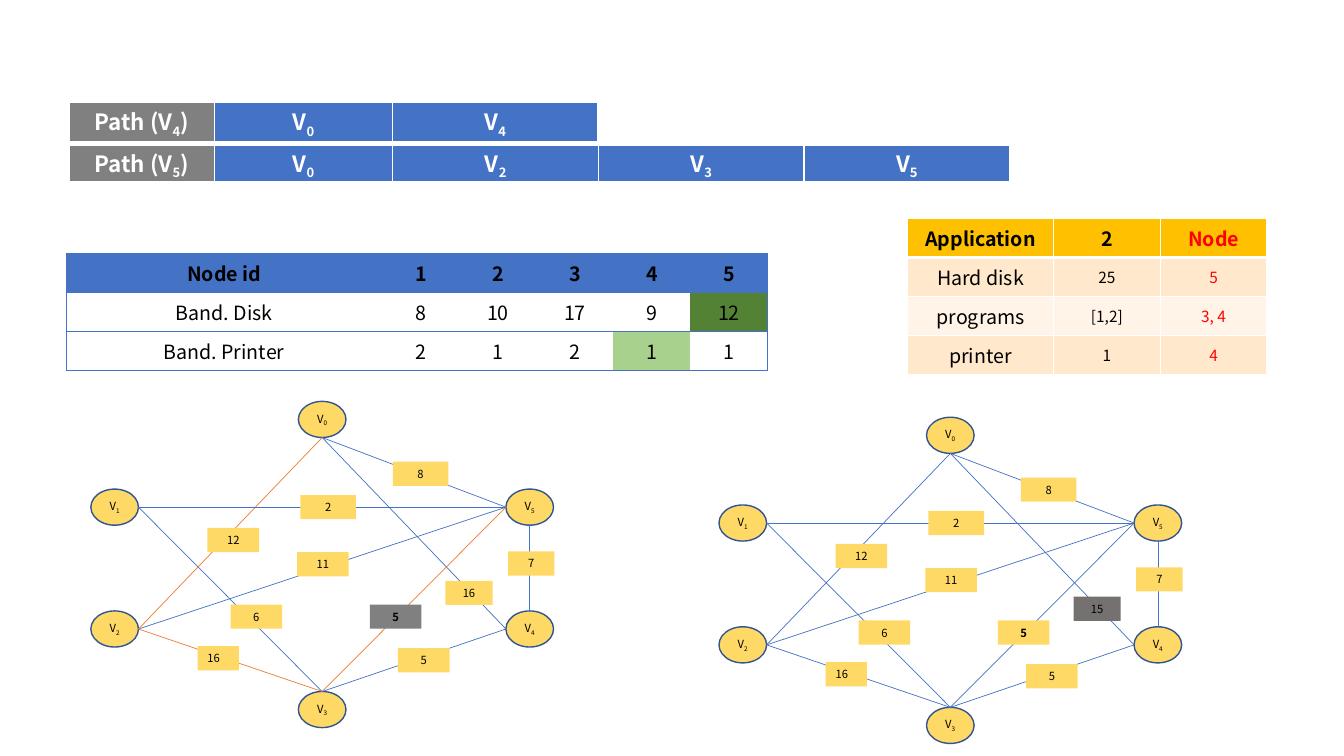
from dataclasses import dataclass

from lxml import etree
from pptx import Presentation
from pptx.dml.color import RGBColor
from pptx.enum.shapes import MSO_CONNECTOR, MSO_SHAPE
from pptx.enum.text import MSO_ANCHOR, PP_ALIGN
from pptx.oxml.ns import qn
from pptx.util import Cm, Pt

LEFT, CENTER = PP_ALIGN.LEFT, PP_ALIGN.CENTER
TOP, MIDDLE = MSO_ANCHOR.TOP, MSO_ANCHOR.MIDDLE
ELLIPSE, RECTANGLE = MSO_SHAPE.OVAL, MSO_SHAPE.RECTANGLE
STRAIGHT = MSO_CONNECTOR.STRAIGHT
PLAIN_TABLE = "{2D5ABB26-0587-4C30-8999-92F81FD0307C}"
WIDE_INSETS, TIGHT_INSETS = (0.25, 0.13), (0.03, 0.02)


@dataclass(frozen=True)
class Theme:
    font: str = "Noto Sans CJK JP"
    black: str = "000000"
    white: str = "FFFFFF"
    red: str = "FF0000"
    blue: str = "4472C4"
    outline: str = "325491"
    orange: str = "ED7D31"
    amber: str = "FFC000"
    yellow: str = "FFD966"
    gray: str = "808080"
    dark_gray: str = "767171"
    green: str = "548235"
    light_green: str = "A9D18E"
    bands: tuple = ("FFE8CC", "FFF4E7")
    path_size: int = 16
    table_size: int = 14
    value_size: int = 11
    graph_size: int = 8


THEME = Theme()


def rgb(color):
    return RGBColor.from_string(color)


def write(frame, text, *, size, color=THEME.black, bold=False, align=CENTER):
    """Write text; the character after an underscore becomes a subscript."""
    paragraph = frame.paragraphs[0]
    paragraph.alignment = align
    first, *others = text.split("_")
    pieces = [(first, False)]
    for other in others:
        pieces += [(other[:1], True), (other[1:], False)]
    for piece, subscript in pieces:
        if piece:
            run = paragraph.add_run()
            run.text = piece
            run.font.name, run.font.size, run.font.bold = THEME.font, Pt(size), bold
            run.font.color.rgb = rgb(color)
            if subscript:
                run._r.get_or_add_rPr().set("baseline", "-25000")


class SlideBuilder:
    def __init__(self, slide, theme):
        self.slide, self.theme = slide, theme

    def table(self, left, top, widths, height, row_count):
        frame = self.slide.shapes.add_table(
            row_count, len(widths), Cm(left), Cm(top), Cm(sum(widths)), Cm(height * row_count))
        grid = frame.table
        grid.first_row = grid.horz_banding = False
        grid._tbl.tblPr.find(qn("a:tableStyleId")).text = PLAIN_TABLE
        for column, width in zip(grid.columns, widths):
            column.width = Cm(width)
        for row in grid.rows:
            row.height = Cm(height)
        return grid

    def cell(self, cell, text, *, fill, borders, insets, anchor=MIDDLE, **style):
        """Borders map a side (L, R, T, B) to its colour and width."""
        cell.margin_left = cell.margin_right = Cm(insets[0])
        cell.margin_top = cell.margin_bottom = Cm(insets[1])
        cell.vertical_anchor = anchor
        if fill:
            cell.fill.solid()
            cell.fill.fore_color.rgb = rgb(fill)
        else:
            cell.fill.background()
        properties = cell._tc.get_or_add_tcPr()
        sides = [side for side in "LRTB" if side in borders]
        for index, side in enumerate(sides):
            color, width = borders[side]
            line = etree.Element(qn(f"a:ln{side}"), w=str(Pt(width)))
            solid = etree.SubElement(line, qn("a:solidFill"))
            etree.SubElement(solid, qn("a:srgbClr"), val=color)
            properties.insert(index, line)
        write(cell.text_frame, text, **style)

    def shape(self, kind, center, size, text, *, fill, outline=None, inset=0, **style):
        (x, y), (width, height) = center, size
        shape = self.slide.shapes.add_shape(
            kind, Cm(x - width / 2), Cm(y - height / 2), Cm(width), Cm(height))
        shape.shadow.inherit = False
        shape.fill.solid()
        shape.fill.fore_color.rgb = rgb(fill)
        if outline:
            shape.line.color.rgb = rgb(outline)
            shape.line.width = Pt(1)
        else:
            shape.line.fill.background()
        frame = shape.text_frame
        frame.word_wrap = True
        frame.vertical_anchor = MIDDLE
        frame.margin_left = frame.margin_right = Cm(inset)
        frame.margin_top = frame.margin_bottom = 0
        write(frame, text, size=self.theme.graph_size, **style)

    def edge(self, start, end, color):
        line = self.slide.shapes.add_connector(STRAIGHT, *map(Cm, (*start, *end)))
        line.line.color.rgb = rgb(color)
        line.line.width = Pt(0.5)
        etree.SubElement(line._element.spPr, qn("a:effectLst"))

    def path_table(self, top, height, widths, texts):
        white = self.theme.white
        borders = {**dict.fromkeys("LRT", (white, 1)), "B": (white, 3)}
        grid = self.table(1.74, top, widths, height, 1)
        for column, text in enumerate(texts):
            self.cell(grid.cell(0, column), text, borders=borders, insets=TIGHT_INSETS,
                      fill=self.theme.blue if column else self.theme.gray,
                      size=self.theme.path_size, color=white, bold=True)

    def application_table(self, rows):
        theme = self.theme
        grid = self.table(22.87, 5.51, [3.68, 2.69, 2.69], 0.91, len(rows))
        for r, row in enumerate(rows):
            borders = dict.fromkeys("LRTB", (theme.white, 1))
            if r < 2:
                borders["T" if r else "B"] = (theme.white, 3)
            for c, text in enumerate(row):
                is_value = r > 0 and c > 0
                self.cell(grid.cell(r, c), text, borders=borders,
                          fill=theme.bands[(r - 1) % 2] if r else theme.amber,
                          insets=TIGHT_INSETS if is_value else WIDE_INSETS,
                          size=theme.value_size if is_value else theme.table_size,
                          color=theme.red if c == 2 else theme.black, bold=r == 0)

    def bandwidth_table(self, rows, highlights):
        theme = self.theme
        widths = [7.98] + [1.94] * 5
        grid = self.table(1.66, 6.38, widths, 0.93, len(rows))
        for r, row in enumerate(rows):
            for c, text in enumerate(row):
                sides = "TB" + "L" * (c == 0) + "R" * (c == len(widths) - 1)
                self.cell(grid.cell(r, c), text, anchor=TOP, insets=WIDE_INSETS,
                          fill=highlights.get((r, c)) if r else theme.blue,
                          borders=dict.fromkeys(sides, (theme.blue, 0.5)),
                          size=theme.table_size, bold=r == 0)

    def graph(self, dx, dy, *, orange_edges=(), weights=None, shaded=None):
        theme, weights, shaded = self.theme, weights or {}, shaded or {}
        for node, (x, y) in NODES.items():
            self.shape(ELLIPSE, (x + dx, y + dy), NODE_SIZE, f"V_{node}",
                       fill=theme.yellow, outline=theme.outline)
        for pair in EDGES:
            ends = []
            for node, other in (pair, pair[::-1]):
                x, y = NODES[node]
                port_x, port_y = VERTICAL_PORTS.get((node, other), PORTS[node])
                ends.append((x + dx + port_x * NODE_SIZE[0] / 2,
                             y + dy + port_y * NODE_SIZE[1] / 2))
            self.edge(*ends, theme.orange if pair in orange_edges else theme.blue)
        for pair, (weight, x, y, width) in EDGES.items():
            at_left = pair == (3, 2)
            self.shape(RECTANGLE, (x + dx, y + dy), (width, 0.61), weights.get(pair, weight),
                       fill=shaded.get(pair, theme.yellow), inset=0.25 if at_left else 0,
                       align=LEFT if at_left else CENTER, bold=pair == (3, 5))


# Graph layout: node centres, the side where edges meet, and weight labels
NODE_SIZE = (1.2, 0.91)
NODES = {0: (8.12, 10.57), 1: (2.89, 12.78), 2: (2.89, 15.85),
         3: (8.12, 17.88), 5: (13.35, 12.78), 4: (13.35, 15.85)}
PORTS = {0: (0, 1), 1: (1, 0), 2: (1, 0), 3: (0, -1), 4: (-1, 0), 5: (-1, 0)}
VERTICAL_PORTS = {(4, 5): (0, -1), (5, 4): (0, 1)}
EDGES = {  # nodes: weight, label centre x and y, label width
    (3, 2): ("16", 5.5, 16.59, 1.04),
    (1, 3): ("6", 6.46, 15.54, 1.3),
    (5, 2): ("11", 8.14, 14.22, 1.3),
    (0, 2): ("12", 5.88, 13.61, 1.3),
    (1, 5): ("2", 8.27, 12.78, 1.4),
    (4, 5): ("7", 13.39, 14.2, 1.17),
    (0, 4): ("16", 11.82, 14.94, 1.19),
    (3, 5): ("5", 9.97, 15.54, 1.3),
    (3, 4): ("5", 10.68, 16.64, 1.3),
    (0, 5): ("8", 10.6, 11.94, 1.4),
}


def main():
    deck = Presentation()
    deck.slide_width, deck.slide_height = Cm(33.87), Cm(19.05)
    builder = SlideBuilder(deck.slides.add_slide(deck.slide_layouts[6]), THEME)

    # Tables
    builder.application_table([["Application", "2", "Node"], ["Hard disk", "25", "5"],
                               ["programs", "[1,2]", "3, 4"], ["printer", "1", "4"]])
    builder.path_table(2.57, 1.04, [3.66, 4.5, 5.16], ["Path (V_4)", "V_0", "V_4"])
    builder.bandwidth_table([["Node id", "1", "2", "3", "4", "5"],
                             ["Band. Disk", "8", "10", "17", "9", "12"],
                             ["Band. Printer", "2", "1", "2", "1", "1"]],
                            {(1, 5): THEME.green, (2, 4): THEME.light_green})
    builder.path_table(3.66, 0.94, [3.66, 4.5] + [5.18] * 3,
                       ["Path (V_5)", "V_0", "V_2", "V_3", "V_5"])

    # Graphs
    builder.graph(0, 0, orange_edges=[(0, 2), (3, 2), (3, 5)], shaded={(3, 5): THEME.gray})
    builder.graph(15.83, 0.4, weights={(0, 4): "15"}, shaded={(0, 4): THEME.dark_gray})

    deck.save("out.pptx")


if __name__ == "__main__":
    main()
